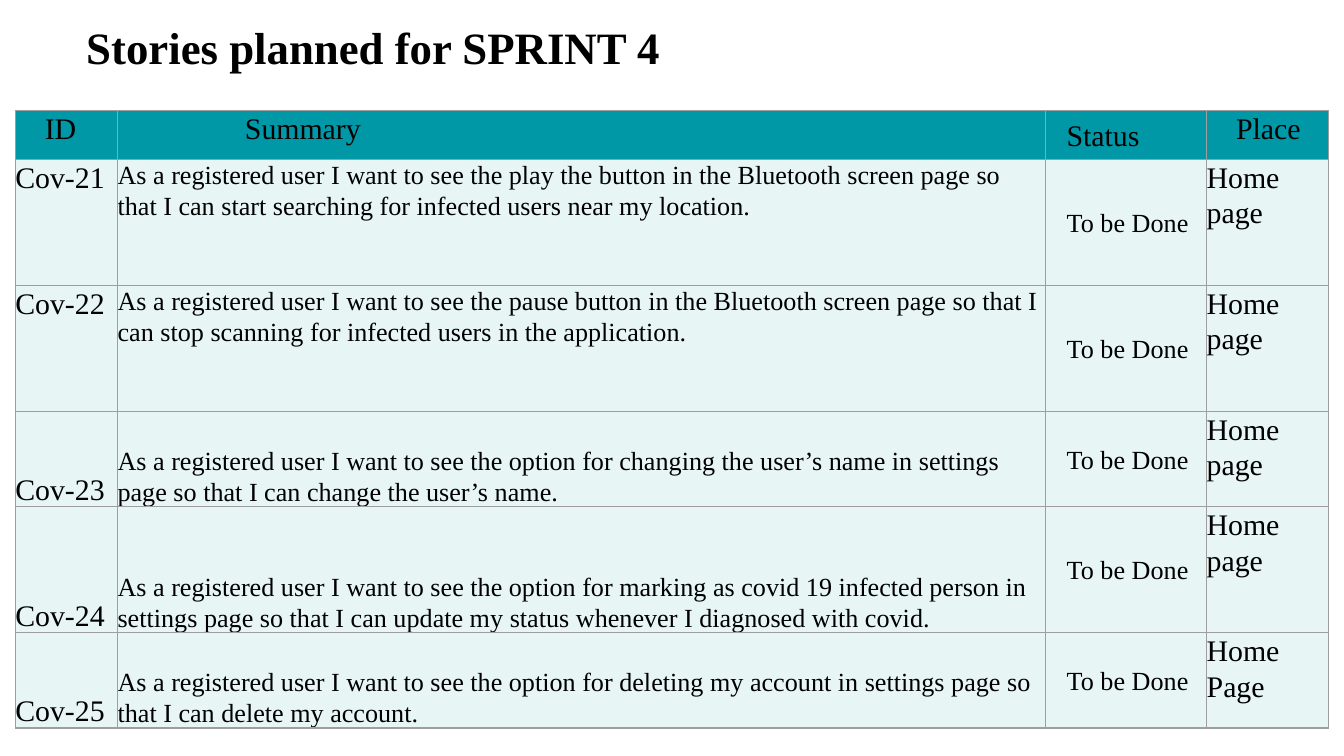
from typing import NamedTuple

from pptx import Presentation
from pptx.dml.color import RGBColor as Rgb
from pptx.enum.text import MSO_ANCHOR as Anchor, MSO_AUTO_SIZE as Auto, PP_ALIGN as Align
from pptx.oxml import parse_xml
from pptx.oxml.ns import nsdecls
from pptx.util import Emu, Pt

BLACK = Rgb(0, 0, 0)
TEAL = Rgb(0x00, 0x97, 0xA7)
MINT = Rgb(0xE7, 0xF6, 0xF5)
GRID = Rgb(0x9E, 0x9E, 0x9E)
FONT = "Times New Roman"
TOP, MID, LOW = Anchor.TOP, Anchor.MIDDLE, Anchor.BOTTOM


def px(n: int) -> Emu:
    return Emu(n * 9525)


class Head(NamedTuple):
    text: str
    width: int
    indent: int = 0
    inset: int = 0
    size: int = 16


class Story(NamedTuple):
    id: str
    summary: str
    place: str
    height: int
    anchor: Anchor


HEAD_H = 35
TALL, SHORT = 90, 68
HEADS = [
    Head("ID", 73, indent=21),
    Head("Summary", 663, indent=91, size=14),
    Head("Status", 115, inset=15, size=14),
    Head("Place", 87, indent=21),
]
STORIES = [
    Story("Cov-21", "As a registered user I want to see the play the button in the Bluetooth "
          "screen page so that I can start searching for infected users near my location.",
          "Home page", TALL, TOP),
    Story("Cov-22", "As a registered user I want to see the pause button in the Bluetooth "
          "screen page so that I can stop scanning for infected users in the application.",
          "Home page", TALL, TOP),
    Story("Cov-23", "As a registered user I want to see the option for changing the user’s "
          "name in settings page so that I can change the user’s name.",
          "Home page", SHORT, LOW),
    Story("Cov-24", "As a registered user I want to see the option for marking as covid 19 "
          "infected person in settings page so that I can update my status whenever I "
          "diagnosed with covid.", "Home page", TALL, LOW),
    Story("Cov-25", "As a registered user I want to see the option for deleting my account "
          "in settings page so that I can delete my account.",
          "Home Page", SHORT, LOW),
]


def write(frame, text: str, *, size: int, bold: bool = False,
          indent: int = 0, space: float = 1.07) -> None:
    para = frame.paragraphs[0]
    para.alignment = Align.LEFT
    para.line_spacing = space
    if indent:
        props = para._p.get_or_add_pPr()
        props.set("marL", "0")
        props.set("indent", str(px(indent)))
    run = para.add_run()
    run.text = text
    run.font.name = FONT
    run.font.size = Pt(size)
    run.font.bold = bold
    run.font.color.rgb = BLACK


def frame_cell(cell, fill: Rgb) -> None:
    """Draw the four cell borders, then the fill that must follow them."""
    props = cell._tc.get_or_add_tcPr()
    for side in ("lnL", "lnR", "lnT", "lnB"):
        props.append(parse_xml(
            f'<a:{side} {nsdecls("a")} w="{Pt(0.75)}"><a:solidFill>'
            f'<a:srgbClr val="{GRID}"/></a:solidFill></a:{side}>'))
    cell.fill.solid()
    cell.fill.fore_color.rgb = fill


def fill_cell(cell, text: str, fill: Rgb, anchor: Anchor, *, inset: int,
              size: int, indent: int = 0) -> None:
    cell.margin_left = px(inset)
    cell.margin_right = cell.margin_top = cell.margin_bottom = 0
    cell.vertical_anchor = anchor
    frame_cell(cell, fill)
    write(cell.text_frame, text, size=size, indent=indent)


def add_title(slide, text: str) -> None:
    title = slide.shapes.title
    title.left, title.top, title.width, title.height = map(px, (52, 9, 732, 48))
    frame = title.text_frame
    frame.word_wrap = True
    frame.auto_size = Auto.NONE
    frame.vertical_anchor = TOP
    write(frame, text, size=24, bold=True, space=1.0)


def add_stories(slide) -> None:
    heights = [HEAD_H] + [s.height for s in STORIES]
    wide = sum(h.width for h in HEADS)
    table = slide.shapes.add_table(len(heights), len(HEADS), px(11), px(79),
                                   px(wide), px(sum(heights))).table
    table.first_row = table.horz_banding = False
    for row, high in zip(table.rows, heights):
        row.height = px(high)
    for c, head in enumerate(HEADS):
        table.columns[c].width = px(head.width)
        fill_cell(table.cell(0, c), head.text, TEAL, MID if head.inset else TOP,
                  inset=head.inset, size=16, indent=head.indent)
    for r, story in enumerate(STORIES, 1):
        texts = (story.id, story.summary, "To be Done", story.place)
        spots = (story.anchor, story.anchor, MID, TOP)
        for c, (head, text, spot) in enumerate(zip(HEADS, texts, spots)):
            fill_cell(table.cell(r, c), text, MINT, spot,
                      inset=head.inset, size=head.size)


def main() -> None:
    deck = Presentation()
    deck.slide_width, deck.slide_height = px(960), px(540)
    slide = deck.slides.add_slide(deck.slide_layouts[5])
    add_title(slide, "Stories planned for SPRINT 4")
    add_stories(slide)
    deck.save("out.pptx")


if __name__ == "__main__":
    main()
